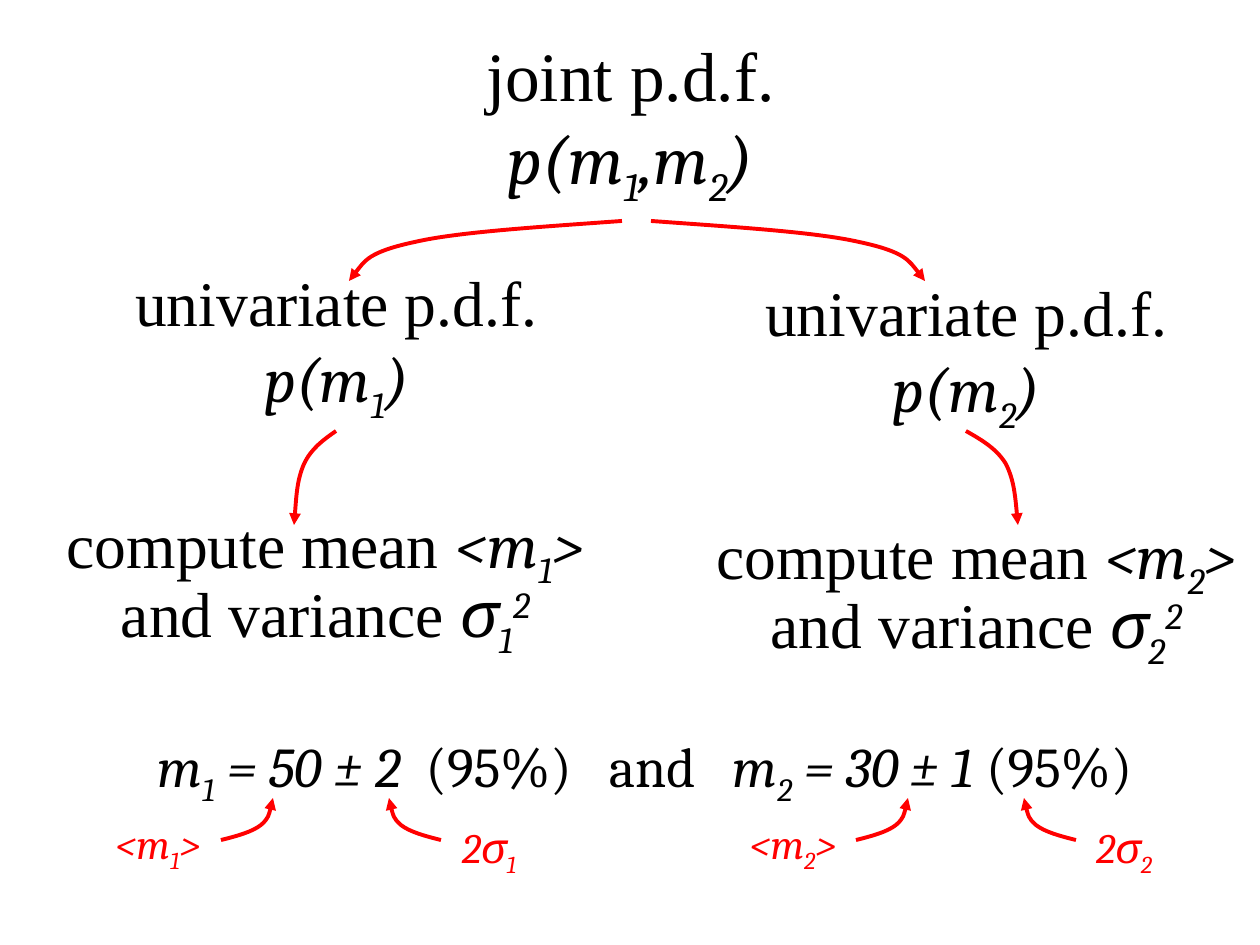
from lxml.etree import SubElement
from pptx import Presentation
from pptx.dml.color import RGBColor
from pptx.enum.text import MSO_ANCHOR, MSO_AUTO_SIZE, PP_ALIGN
from pptx.oxml.ns import qn
from pptx.util import Pt

EMU_PER_PX = 914400 / 126
COLORS = {"ink": "000000", "accent": "FF0000"}

# Style: font, italic, extra attributes of the run
STYLES = {
    "plain": ("Times New Roman", False, {}),
    "upright": ("Cambria", False, {}),
    "math": ("Cambria", True, {}),
    "sub": ("Cambria", True, {"baseline": "-25000"}),
    "sup": ("Cambria", True, {"baseline": "30000"}),
    "gap": ("Cambria", False, {"spc": "700"}),
    "wide gap": ("Cambria", False, {"spc": "1400"}),
}

# Control points of an arrow, as fractions of the way from start to end
BEND = [(0.3, 0.1), (0.6, 0.19), (0.76, 0.35),
        (0.93, 0.52), (0.96, 0.76), (1, 1)]


def px(value):
    return round(value * EMU_PER_PX)


def color(name):
    return RGBColor.from_string(COLORS[name])


def add_runs(paragraph, runs, size, ink="ink"):
    paragraph.alignment = PP_ALIGN.CENTER
    for text, style in runs:
        font_name, italic, attributes = STYLES[style]
        run = paragraph.add_run()
        run.text = text
        font = run.font
        font.name, font.italic, font.size = font_name, italic, Pt(size)
        font.color.rgb = color(ink)
        for key, value in attributes.items():
            run._r.get_or_add_rPr().set(key, value)


def place(shape, left, top, width, height):
    shape.left, shape.top = px(left), px(top)
    shape.width, shape.height = px(width), px(height)
    shape.text_frame.word_wrap = True
    shape.text_frame.auto_size = MSO_AUTO_SIZE.NONE


def add_text(slide, box, lines, size, ink="ink", first_spacing=None):
    shape = slide.shapes.add_textbox(0, 0, 0, 0)
    place(shape, *box)
    frame = shape.text_frame
    frame.vertical_anchor = MSO_ANCHOR.MIDDLE
    frame.paragraphs[0].line_spacing = first_spacing
    for index, runs in enumerate(lines):
        paragraph = frame.add_paragraph() if index else frame.paragraphs[0]
        add_runs(paragraph, runs, size, ink)


def add_curved_arrow(slide, start, end):
    builder = slide.shapes.build_freeform(*start, scale=EMU_PER_PX)
    builder.add_line_segments([end], close=False)
    shape = builder.convert_to_shape()
    shape.shadow.inherit = False
    shape.fill.background()
    shape.line.color.rgb = color("accent")
    shape.line.width = Pt(2.25)
    SubElement(shape.line._get_or_add_ln(), qn("a:tailEnd"), type="triangle")

    # Bend the straight segment into two Bézier curves
    outline = shape._element.find(".//" + qn("a:path"))
    straight = outline.find(qn("a:lnTo"))
    outline.remove(straight)
    first, last = (
        (int(point.get("x")), int(point.get("y")))
        for point in (outline.find(".//" + qn("a:pt")), straight[0]))
    for controls in (BEND[:3], BEND[3:]):
        curve = SubElement(outline, qn("a:cubicBezTo"))
        for along_x, along_y in controls:
            x = round(first[0] + along_x * (last[0] - first[0]))
            y = round(first[1] + along_y * (last[1] - first[1]))
            SubElement(curve, qn("a:pt"), x=str(x), y=str(y))


def fill_title(slide):
    title = slide.shapes.title
    place(title, 347, 53, 567, 136)
    title.text_frame.vertical_anchor = MSO_ANCHOR.MIDDLE
    paragraph = title.text_frame.paragraphs[0]
    add_runs(paragraph, [("joint p.d.f.", "plain")], 39.6)
    paragraph.add_line_break()
    SubElement(paragraph._p[-1], qn("a:rPr"), sz="3960")
    add_runs(paragraph, [("p(m", "math"), ("1", "sub"), (",m", "math"),
                         ("2", "sub"), (")", "math")], 39.6)


def fill_result(slide):
    body = slide.placeholders[1]
    place(body, 84, 725, 1134, 95)
    paragraph = body.text_frame.paragraphs[0]
    add_runs(paragraph, [
        ("m", "math"), ("1", "sub"), (" = 50 ± 2", "math"),
        (" ", "gap"), ("(95%)", "upright"), (" ", "wide gap"),
        ("and", "upright"), (" ", "wide gap"),
        ("m", "math"), ("2", "sub"), (" = 30 ± 1", "math"),
        (" (95%) ", "upright")], 32)
    properties = paragraph._p.get_or_add_pPr()
    properties.set("marL", str(px(48)))
    properties.set("indent", str(px(-48)))
    SubElement(properties, qn("a:buNone"))


def add_branch(slide, number, univariate_at, compute_at):
    add_text(slide, (*univariate_at, 567, 136), [
        [("univariate p.d.f.", "plain")],
        [("p(m", "math"), (number, "sub"), (")", "math")],
    ], 36.3, first_spacing=0.8)
    add_text(slide, (*compute_at, 567, 136), [[
        ("compute mean ", "plain"), ("<m", "math"), (number, "sub"),
        ("> ", "math"), ("and variance ", "plain"), ("σ", "math"),
        (number, "sub"), ("2", "sup"),
    ]], 36.3, first_spacing=0.8)


def add_result_notes(slide, number, shift):
    add_curved_arrow(slide, (221 + shift, 840), (273 + shift, 798))
    add_text(slide, (79 + shift, 825, 158, 42), [
        [("<m", "math"), (number, "sub"), (">", "math")]], 24, "accent")
    add_curved_arrow(slide, (441 + shift, 840), (389 + shift, 798))
    add_text(slide, (410 + shift, 829, 158, 42), [
        [("2σ", "math"), (number, "sub")]], 24, "accent")


def main():
    presentation = Presentation()
    presentation.slide_width, presentation.slide_height = px(1260), px(945)
    slide = presentation.slides.add_slide(presentation.slide_layouts[1])

    # Joint distribution and final result
    fill_title(slide)
    fill_result(slide)

    # One branch for each variable
    add_branch(slide, "1", (53, 284), (42, 514))
    add_branch(slide, "2", (683, 294), (693, 525))

    # Arrows between the steps
    for start, end in [((622, 221), (349, 281)), ((651, 221), (925, 281)),
                       ((336, 431), (294, 525)), ((966, 431), (1018, 525))]:
        add_curved_arrow(slide, start, end)

    # Notes under the result
    for number, shift in (("1", 0), ("2", 635)):
        add_result_notes(slide, number, shift)

    presentation.save("out.pptx")


if __name__ == "__main__":
    main()
